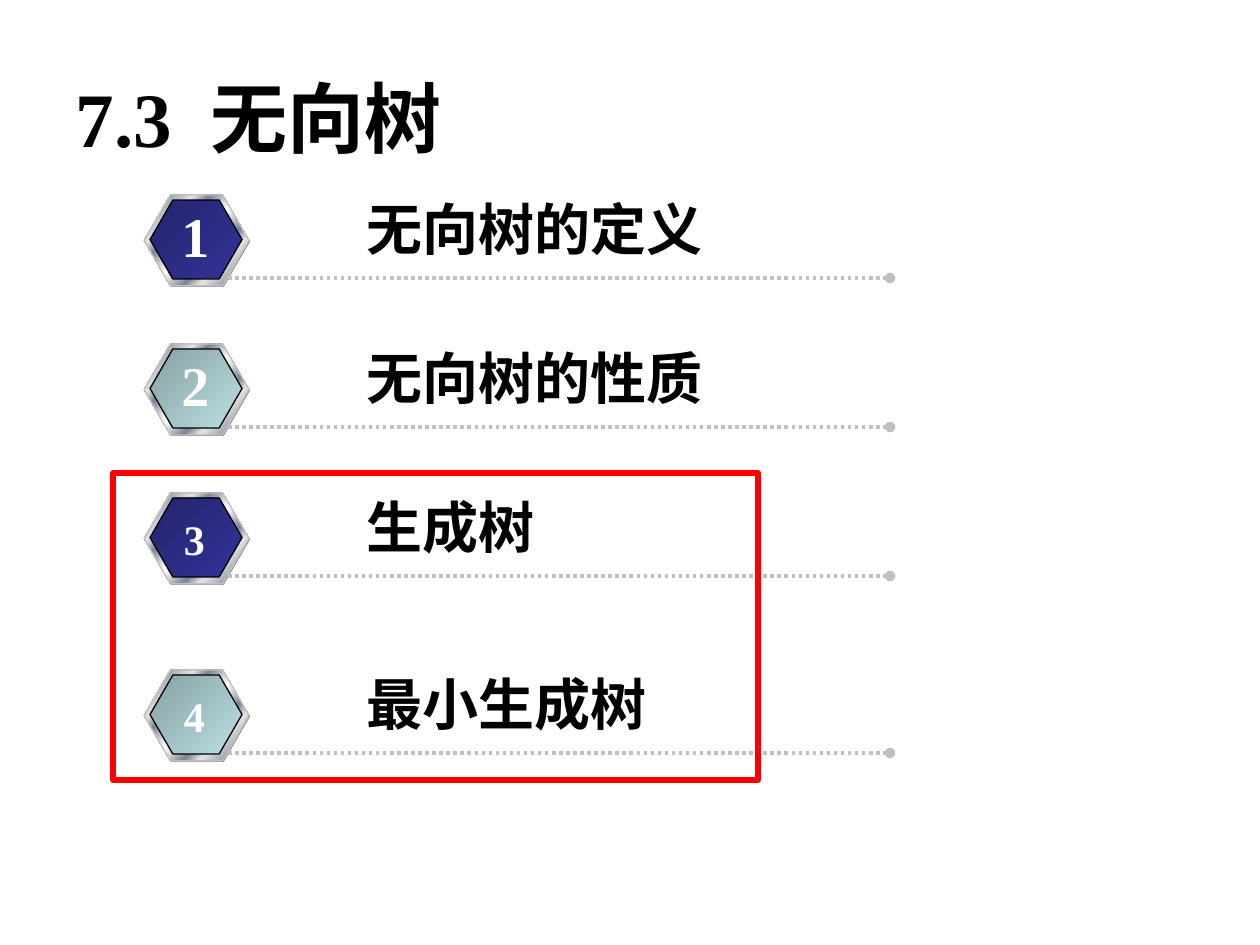
from lxml import etree
from pptx import Presentation
from pptx.dml.color import RGBColor
from pptx.enum.dml import MSO_LINE
from pptx.enum.shapes import MSO_CONNECTOR, MSO_SHAPE
from pptx.enum.text import MSO_ANCHOR, PP_ALIGN
from pptx.oxml.ns import qn
from pptx.util import Emu, Pt

HEXAGON, RECTANGLE = MSO_SHAPE.HEXAGON, MSO_SHAPE.RECTANGLE
LEFT, CENTER = PP_ALIGN.LEFT, PP_ALIGN.CENTER
TOP, MIDDLE = MSO_ANCHOR.TOP, MSO_ANCHOR.MIDDLE

# Content: number, topic, top of the badge in px, type size of the number
TITLE = ("7.3", "无向树")
TOPICS = [
    ("1", "无向树的定义", 195, 32),
    ("2", "无向树的性质", 344, 32),
    ("3", "生成树", 493, 24),
    ("4", "最小生成树", 670, 24),
]

THEME = {
    "font": "Times New Roman",
    "title_size": 44,
    "topic_size": 32,
    "text": "000000",
    "number": "FFFFFF",
    "shadow": "808080",
    "rule": "C0C0C0",
    "highlight": "FF0000",
    "badges": [
        [(0, "24246D"), (100, "333399")],
        [(0, "86A0A2"), (100, "BBE0E3")],
    ],
    "metal": [
        (0, "E6E6E6"), (8, "7D8496"), (26, "E6E6E6"), (34, "7D8496"),
        (46, "E6E6E6"), (50, "FFFFFF"), (54, "E6E6E6"), (66, "7D8496"),
        (74, "E6E6E6"), (92, "7D8496"), (100, "E6E6E6"),
    ],
}

# Layout in px
PX_PER_INCH = 126
BADGE_LEFT, BADGE_WIDTH, BADGE_HEIGHT = 144, 105, 91
RULE_LEFT, RULE_RIGHT, RULE_DROP = 228, 890, 83
TOPIC_LEFT, TOPIC_RISE, TOPIC_HEIGHT = 354, 7, 79
CHARACTER_WIDTH, TEXT_INSETS = 56, 26
NUMBER_BOXES = {32: (169, 0, 53, 79), 24: (171, 14, 47, 63)}
HIGHLIGHT_BOX = (113, 473, 645, 307)


def px(value):
    return Emu(round(value * 914400 / PX_PER_INCH))


def color(name):
    return RGBColor.from_string(name)


def write_text(shape, parts, *, size, ink, align=LEFT, anchor=TOP, wrap=False, gap=0):
    """Write the parts as one bold line, with a space widened by gap points between them."""
    frame = shape.text_frame
    frame.word_wrap = wrap
    frame.vertical_anchor = anchor
    paragraph = frame.paragraphs[0]
    paragraph.alignment = align
    for index, part in enumerate(parts):
        if index:
            space = add_run(paragraph, " ", size, ink)
            space.font._element.set("spc", str(gap * 100))
        add_run(paragraph, part, size, ink)


def add_run(paragraph, text, size, ink):
    run = paragraph.add_run()
    run.text = text
    run.font.name = THEME["font"]
    run.font.size = Pt(size)
    run.font.bold = True
    run.font.color.rgb = color(ink)
    return run


def add_box(shapes, kind, box, *, fill=None, line=None, line_width=0.75):
    """Add a preset shape; fill is a colour, a list of gradient stops or None."""
    shape = shapes.add_shape(kind, *map(px, box))
    shape.shadow.inherit = False
    if fill is None:
        shape.fill.background()
    elif isinstance(fill, str):
        shape.fill.solid()
        shape.fill.fore_color.rgb = color(fill)
    else:
        shape.fill.gradient()
        shape.fill.gradient_angle = 315
        stops = shape._element.spPr.find(".//" + qn("a:gsLst"))
        for stop in list(stops):
            stops.remove(stop)
        for position, stop_color in fill:
            stop = etree.SubElement(stops, qn("a:gs"), pos=str(position * 1000))
            etree.SubElement(stop, qn("a:srgbClr"), val=stop_color)
    if line:
        shape.line.color.rgb = color(line)
        shape.line.width = Pt(line_width)
    else:
        shape.line.fill.background()
    if kind == HEXAGON:
        shape.adjustments[0] = 0.289
    return shape


def add_rule(shapes, y):
    """Add the dotted line with a round end."""
    rule = shapes.add_connector(
        MSO_CONNECTOR.STRAIGHT, px(RULE_LEFT), px(y), px(RULE_RIGHT), px(y))
    rule.line.color.rgb = color(THEME["rule"])
    rule.line.width = Pt(2)
    rule.line.dash_style = MSO_LINE.ROUND_DOT
    line = rule.line._get_or_add_ln()
    etree.SubElement(line, qn("a:tailEnd"), type="oval")
    etree.SubElement(rule._element.spPr, qn("a:effectLst"))


def add_topic(slide, number, topic, top, number_size, badge_fill):
    shapes = slide.shapes.add_group_shape().shapes

    # Badge: shadow, metal rim, coloured face
    add_box(shapes, HEXAGON, (BADGE_LEFT + 1, top + 1, BADGE_WIDTH, BADGE_HEIGHT),
            fill=THEME["shadow"])
    add_box(shapes, HEXAGON, (BADGE_LEFT, top, BADGE_WIDTH, BADGE_HEIGHT),
            fill=THEME["metal"], line=THEME["rule"])
    add_box(shapes, HEXAGON, (BADGE_LEFT + 6, top + 5, BADGE_WIDTH - 13, BADGE_HEIGHT - 12),
            fill=badge_fill, line=THEME["text"])
    add_rule(shapes, top + RULE_DROP)

    # Topic and number
    width = len(topic) * CHARACTER_WIDTH + TEXT_INSETS
    topic_box = shapes.add_textbox(
        *map(px, (TOPIC_LEFT, top - TOPIC_RISE, width, TOPIC_HEIGHT)))
    write_text(topic_box, [topic], size=THEME["topic_size"], ink=THEME["text"])
    left, drop, width, height = NUMBER_BOXES[number_size]
    number_box = shapes.add_textbox(*map(px, (left, top + drop, width, height)))
    write_text(number_box, [number], size=number_size, ink=THEME["number"], align=CENTER)


def main():
    presentation = Presentation()
    presentation.slide_width, presentation.slide_height = px(1260), px(945)
    slide = presentation.slides.add_slide(presentation.slide_layouts[5])

    # Title
    title = slide.shapes.title
    title.left, title.top, title.width, title.height = map(px, (63, 38, 1134, 157))
    write_text(title, TITLE, size=THEME["title_size"], ink=THEME["text"],
               anchor=MIDDLE, wrap=True, gap=11)

    # Topics, with badge colours taking turns
    badges = THEME["badges"]
    for index, topic in enumerate(TOPICS):
        add_topic(slide, *topic, badges[index % len(badges)])

    # Frame around the current topics
    add_box(slide.shapes, RECTANGLE, HIGHLIGHT_BOX, line=THEME["highlight"], line_width=3)
    presentation.save("out.pptx")


if __name__ == "__main__":
    main()
